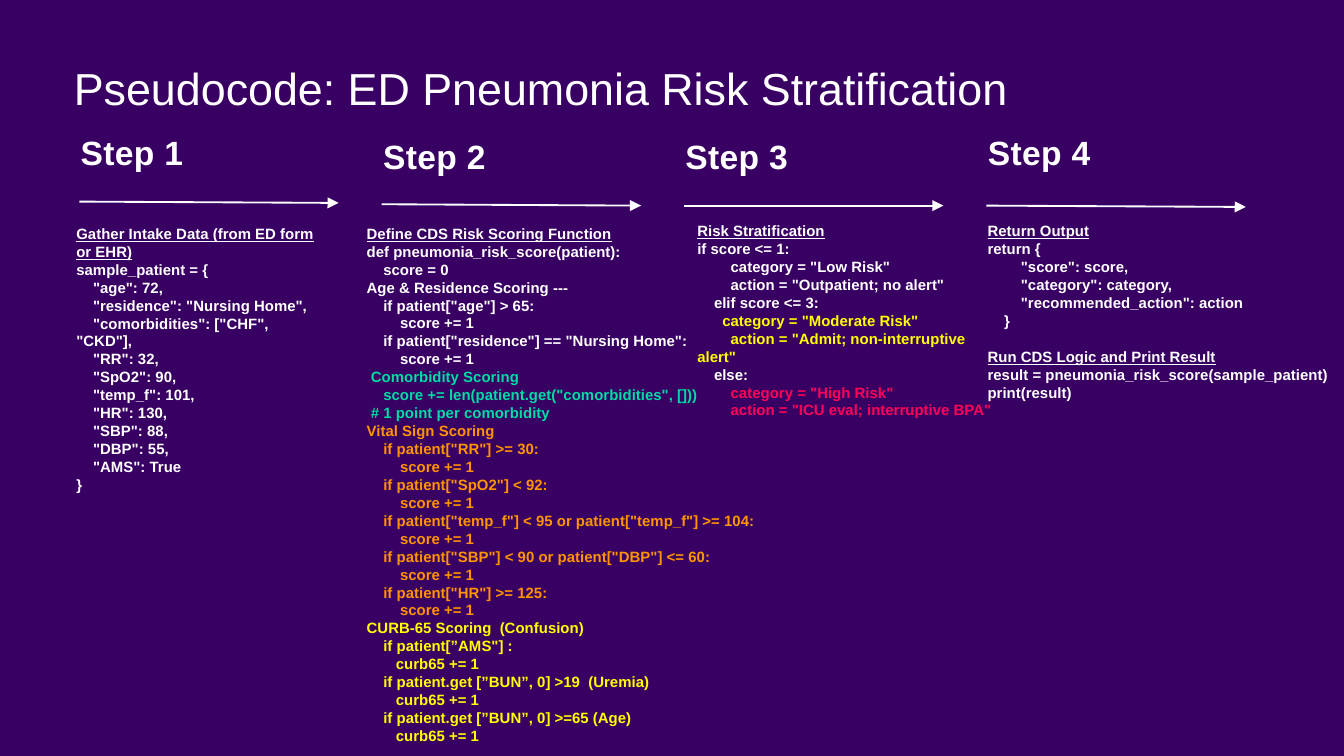
from pptx import Presentation
from pptx.dml.color import RGBColor
from pptx.enum.shapes import MSO_CONNECTOR
from pptx.oxml.ns import qn
from pptx.util import Inches, Pt
from lxml import etree

STRAIGHT = MSO_CONNECTOR.STRAIGHT
WHITE, YELLOW, GREEN = "FFFFFF", "FFFF00", "00DCA5"
ORANGE, PINK, PURPLE = "FF9300", "FF0057", "380063"
WIDE = Inches(10)
SPACE = 0.031

INTAKE = """sample_patient = {
    "age": 72,
    "residence": "Nursing Home",
    "comorbidities": ["CHF", "CKD"],
    "RR": 32,
    "SpO2": 90,
    "temp_f": 101,
    "HR": 130,
    "SBP": 88,
    "DBP": 55,
    "AMS": True
}"""
SCORE = """def pneumonia_risk_score(patient):
    score = 0
Age & Residence Scoring ---
    if patient["age"] > 65:
        score += 1
    if patient["residence"] == "Nursing Home":
        score += 1"""
COMORBID = """ Comorbidity Scoring
    score += len(patient.get("comorbidities", []))
 # 1 point per comorbidity"""
VITALS = """Vital Sign Scoring
    if patient["RR"] >= 30:
        score += 1
    if patient["SpO2"] < 92:
        score += 1
    if patient["temp_f"] < 95 or patient["temp_f"] >= 104:
        score += 1
    if patient["SBP"] < 90 or patient["DBP"] <= 60:
        score += 1
    if patient["HR"] >= 125:
        score += 1"""
CURB = """CURB-65 Scoring  (Confusion)
    if patient[”AMS"] :
       curb65 += 1
    if patient.get [”BUN”, 0] >19  (Uremia)
       curb65 += 1
    if patient.get [”BUN”, 0] >=65 (Age)
       curb65 += 1"""
LOW = """if score <= 1:
        category = "Low Risk"
        action = "Outpatient; no alert"
    elif score <= 3:"""
MEDIUM = """      category = "Moderate Risk"
        action = "Admit; non-interruptive alert\""""
HIGH = """        category = "High Risk"
        action = "ICU eval; interruptive BPA\""""
OUTPUT = """return {
        "score": score,
        "category": category,
        "recommended_action": action
    }"""
RUN = """result = pneumonia_risk_score(sample_patient)
print(result)"""

STEPS = [(0.9, 1.5, 1.51), (0.93, 1.52, 1.53), (0.93, 1.53, 1.53), (0.9, 1.53, 1.54)]
COLUMNS = [
    ((0.47, 1.62, 2.06, 2.12), [
        ("Gather Intake Data (from ED form or EHR)", None), (INTAKE, WHITE)]),
    ((2.63, 1.62, 3.59, 4.54), [
        ("Define CDS Risk Scoring Function", None), (SCORE, WHITE),
        (COMORBID, GREEN), (VITALS, ORANGE), (CURB, YELLOW)]),
    ((5.09, 1.6, 2.48, 1.85), [
        ("Risk Stratification", None), (LOW, WHITE), (MEDIUM, YELLOW),
        ("    else:", WHITE), (HIGH, PINK)]),
    ((7.25, 1.6, 5, 2.19), [
        ("Return Output", None), (OUTPUT, WHITE),
        ("Run CDS Logic and Print Result", None), (RUN, WHITE)]),
]


def paint(code):
    """Turn a hex string into a colour."""
    return RGBColor.from_string(code)


def write(para, text, size=8, color=WHITE, bold=True, under=False,
          left=0, first=0, before=0, track=0):
    """Fill a paragraph with formatted text."""
    run = para.add_run()
    run.text = text
    font = run.font
    font.name, font.size, font.bold = "Arial", Pt(size), bold
    font.underline = under
    font.color.rgb = paint(color)
    para.line_spacing = Pt(size * 1.2)
    para.space_before = Pt(before)
    props = para._p.get_or_add_pPr()
    props.set("marL", str(Inches(left)))
    props.set("indent", str(Inches(first)))
    if track:
        run._r.get_or_add_rPr().set("spc", str(track))


class Deck:
    """Hold the style and the slide being built."""

    def __init__(self):
        """Open a deck with one purple slide."""
        self.file = Presentation()
        self.file.slide_width = WIDE
        self.file.slide_height = WIDE * 9 // 16
        self.slide = self.file.slides.add_slide(self.file.slide_layouts[6])
        fill = self.slide.background.fill
        fill.solid()
        fill.fore_color.rgb = paint(PURPLE)

    def box(self, area, pads=(0, 0, 0, 0)):
        """Add a wrapping text box and return its frame."""
        frame = self.slide.shapes.add_textbox(*map(Inches, area)).text_frame
        frame.word_wrap = True
        (frame.margin_left, frame.margin_top,
         frame.margin_right, frame.margin_bottom) = map(Inches, pads)
        return frame

    def title(self, text):
        """Add the slide title."""
        frame = self.box((0.55, 0.45, 7.96, 0.85))
        write(frame.paragraphs[0], text, size=24, bold=False)

    def step(self, text, left, top):
        """Add a step heading."""
        frame = self.box((left, top, 2.25, 0.37), (0, 0.08, 0, 0))
        write(frame.paragraphs[0], text, size=18, left=0.01, track=20)

    def arrow(self, left, start, end):
        """Add an arrow that points right."""
        ends = map(Inches, (left, start, left + 1.93, end))
        line = self.slide.shapes.add_connector(STRAIGHT, *ends)
        line.line.color.rgb = paint(WHITE)
        line.line.width = Pt(1)
        tail = etree.SubElement(line.line._get_or_add_ln(), qn("a:tailEnd"))
        tail.set("type", "triangle")
        etree.SubElement(line._element.spPr, qn("a:effectLst"))

    def code(self, area, blocks):
        """Add a column of headings and indented code."""
        frame = self.box(area, (0.1, 0.05, 0.1, 0.05))
        para = frame.paragraphs[0]
        for spot, (text, color) in enumerate(blocks):
            for line in text.split("\n"):
                if para is None:
                    para = frame.add_paragraph()
                bare = line.lstrip()
                head = color is None
                write(para, bare, color=color or WHITE, under=head,
                      first=SPACE * (len(line) - len(bare)),
                      before=9.6 if head and spot else 0)
                para = None


def main():
    """Build and save the slide."""
    deck = Deck()
    deck.title("Pseudocode: ED Pneumonia Risk Stratification")
    for spot, (top, start, end) in enumerate(STEPS):
        left = 0.59 + 2.25 * spot
        deck.step(f"Step {spot + 1}", left, top)
        deck.arrow(left, start, end)
    for area, blocks in COLUMNS:
        deck.code(area, blocks)
    deck.file.save("out.pptx")


if __name__ == "__main__":
    main()
